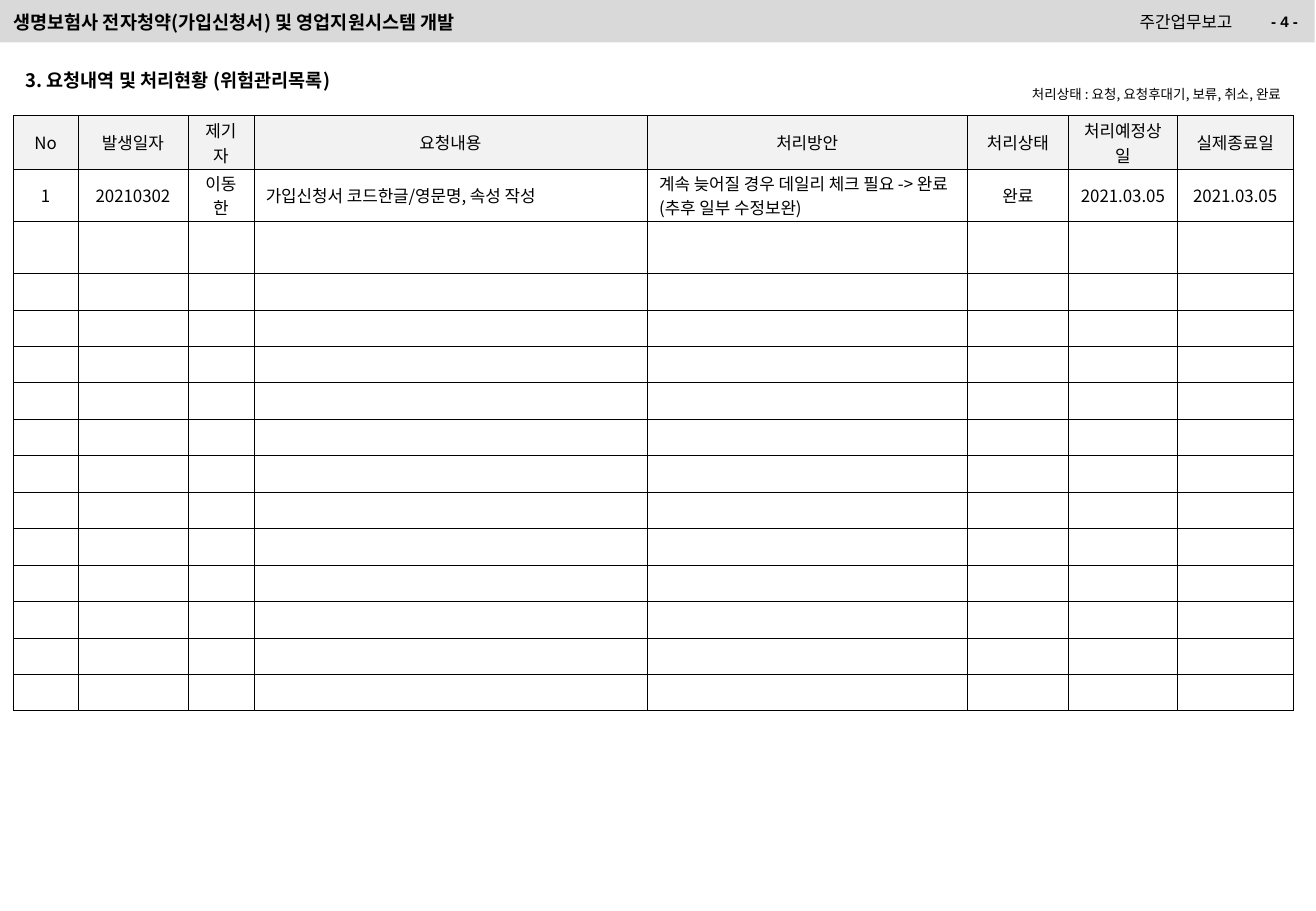
import pptx
import pptx.dml.color
import pptx.enum.shapes
import pptx.enum.text
import pptx.oxml
import pptx.oxml.ns
import pptx.util
from pptx.util import Inches

RGBColor = pptx.dml.color.RGBColor
BLACK = RGBColor(0x00, 0x00, 0x00)
WHITE = RGBColor(0xFF, 0xFF, 0xFF)
BAND_GRAY = RGBColor(0xD9, 0xD9, 0xD9)
HEADER_GRAY = RGBColor(0xF2, 0xF2, 0xF2)

KOREAN = "Noto Sans CJK KR"
LEFT = pptx.enum.text.PP_ALIGN.LEFT
CENTER = pptx.enum.text.PP_ALIGN.CENTER
RIGHT = pptx.enum.text.PP_ALIGN.RIGHT

COLUMN_WIDTHS = [0.53, 0.91, 0.54, 3.24, 2.64, 0.83, 0.9, 0.95]
ROW_HEIGHTS = [0.44, 0.43, 0.43] + [0.3] * 12
HEADINGS = ["No", "발생일자", "제기자", "요청내용", "처리방안",
            "처리상태", "처리예정상일", "실제종료일"]
REQUESTS = [
    ["1", "20210302", "이동한", "가입신청서 코드한글/영문명, 속성 작성",
     "계속 늦어질 경우 데일리 체크 필요 -> 완료 (추후 일부 수정보완)",
     "완료", "2021.03.05", "2021.03.05"],
]
LONG_TEXT_COLUMNS = (3, 4)


def write(paragraph, text, size, align=LEFT, bold=False, font=KOREAN, before=0):
    """Fill one paragraph; an empty one still keeps its text size."""
    paragraph.alignment = align
    paragraph.space_before = pptx.util.Pt(before)
    if not text:
        paragraph.font.size = pptx.util.Pt(size)
        end = paragraph._p.get_or_add_endParaRPr()
        end.set("sz", str(size * 100))
        return
    run = paragraph.add_run()
    run.text = text
    font_format = {"name": font, "size": pptx.util.Pt(size), "bold": bold}
    for attribute, value in font_format.items():
        setattr(run.font, attribute, value)
    run.font.color.rgb = BLACK
    east_asian = pptx.oxml.parse_xml(
        f'<a:ea {pptx.oxml.ns.nsdecls("a")} typeface="{font}"/>')
    run.font._element.find(pptx.oxml.ns.qn("a:latin")).addnext(east_asian)


def add_label(slide, box, text, size, **style):
    label = slide.shapes.add_textbox(*map(Inches, box))
    label.text_frame.word_wrap = True
    write(label.text_frame.paragraphs[0], text, size, **style)


def add_page_header(slide, left, top, width):
    # Gray band
    band = slide.shapes.add_shape(
        pptx.enum.shapes.MSO_SHAPE.RECTANGLE,
        Inches(left), Inches(top), Inches(width), Inches(0.35))
    band.shadow.inherit = False
    band.fill.solid()
    band.fill.fore_color.rgb = BAND_GRAY
    band.line.fill.background()

    # Report name, project name and page number
    right = left + width
    add_label(slide, (right - 3.31, top + 0.05, 2.73, 0.29),
              "주간업무보고", 10, align=RIGHT)
    add_label(slide, (left + 0.01, top + 0.04, 7.52, 0.29),
              "생명보험사 전자청약(가입신청서) 및 영업지원시스템 개발", 11, bold=True)
    add_label(slide, (right - 0.82, top + 0.05, 0.78, 0.4),
              "- 4 -", 9, align=RIGHT, bold=True, font="Arial")


def add_section_heading(slide, left, top, width):
    add_label(slide, (left, top, 3.01, 0.29),
              "3. 요청내역 및 처리현황 (위험관리목록)", 11, bold=True, before=6.9)
    add_label(slide, (left + width - 3.01, top + 0.14, 3.01, 0.24),
              "처리상태 : 요청, 요청후대기, 보류, 취소, 완료", 8,
              align=RIGHT, before=5)


def add_cell_borders(cell):
    properties = cell._tc.get_or_add_tcPr()
    for position, side in enumerate(("lnL", "lnR", "lnT", "lnB")):
        border = pptx.oxml.parse_xml(
            f'<a:{side} {pptx.oxml.ns.nsdecls("a")} w="1397">'
            f'<a:solidFill><a:srgbClr val="{BLACK}"/></a:solidFill></a:{side}>')
        properties.insert(position, border)


def add_request_table(slide, left, top, width):
    height = sum(ROW_HEIGHTS)
    table = slide.shapes.add_table(
        len(ROW_HEIGHTS), len(COLUMN_WIDTHS), Inches(left), Inches(top),
        Inches(width), Inches(height)).table
    for column, column_width in zip(table.columns, COLUMN_WIDTHS):
        column.width = Inches(column_width)
    for row, row_height in zip(table.rows, ROW_HEIGHTS):
        row.height = Inches(row_height)

    cell_format = {
        "vertical_anchor": pptx.enum.text.MSO_ANCHOR.MIDDLE,
        "margin_top": Inches(0.02),
        "margin_bottom": Inches(0.01),
    }
    filled_rows = [HEADINGS] + REQUESTS
    for row_index in range(len(ROW_HEIGHTS)):
        is_header = row_index == 0
        for column_index in range(len(COLUMN_WIDTHS)):
            cell = table.cell(row_index, column_index)
            for attribute, value in cell_format.items():
                setattr(cell, attribute, value)
            cell.fill.solid()
            cell.fill.fore_color.rgb = HEADER_GRAY if is_header else WHITE
            add_cell_borders(cell)
            text = ""
            if row_index < len(filled_rows):
                text = filled_rows[row_index][column_index]
            is_long = column_index in LONG_TEXT_COLUMNS and not is_header
            write(cell.text_frame.paragraphs[0], text, 10,
                  align=LEFT if is_long else CENTER,
                  before=5 if is_long else 6.2)


def main():
    presentation = pptx.Presentation()
    presentation.slide_width = Inches(10.84)
    presentation.slide_height = Inches(7.5)
    slide = presentation.slides.add_slide(presentation.slide_layouts[6])
    add_page_header(slide, 0, 0, 10.83)
    add_section_heading(slide, 0.11, 0.52, 10.54)
    add_request_table(slide, 0.11, 0.95, 10.54)
    presentation.save("out.pptx")


if __name__ == "__main__":
    main()
